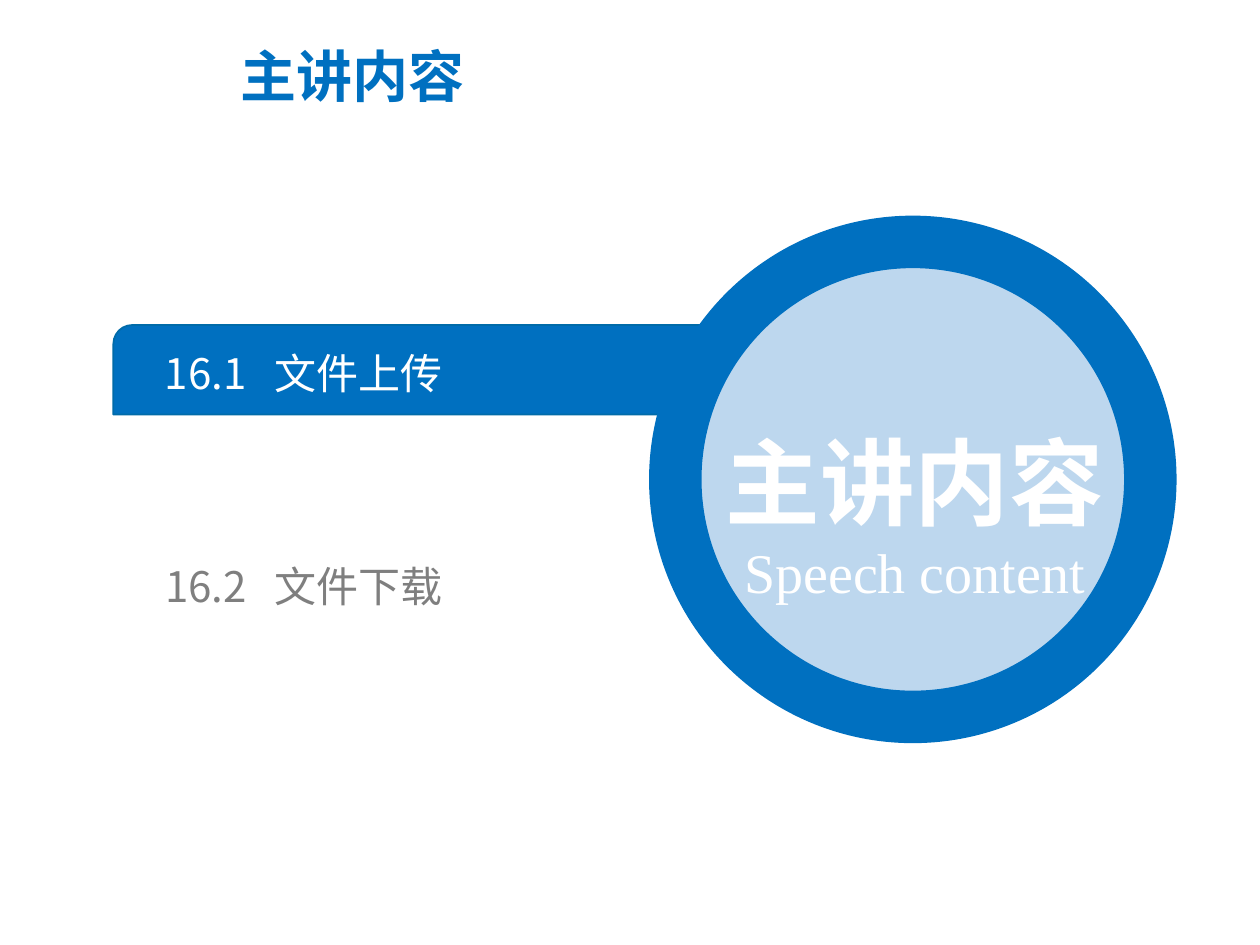
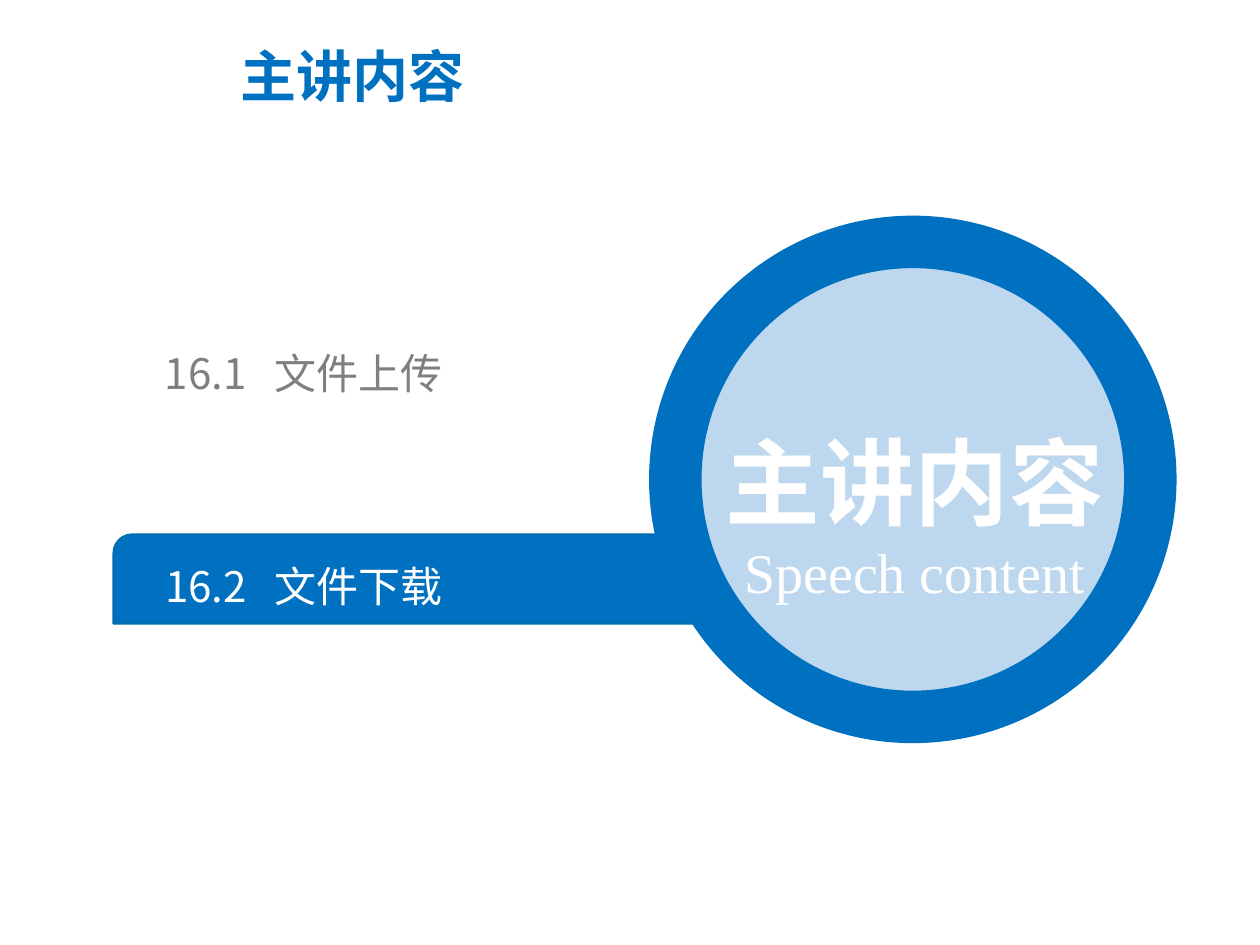
from dataclasses import dataclass

import lxml.etree
import pptx
import pptx.dml.color
import pptx.enum.shapes
import pptx.enum.text
import pptx.oxml.ns
import pptx.util

Inches = pptx.util.Inches
Anchor = pptx.enum.text.MSO_ANCHOR
Align = pptx.enum.text.PP_ALIGN
AutoSize = pptx.enum.text.MSO_AUTO_SIZE
Shape = pptx.enum.shapes.MSO_SHAPE
TITLE_ONLY = 5


@dataclass(frozen=True)
class Theme:
    blue: str = "0070C0"
    bar_edge: str = "006BA9"
    pale_blue: str = "BDD7EE"
    gray: str = "7F7F7F"
    white: str = "FFFFFF"
    chinese_font: str = "Noto Sans CJK SC"
    english_font: str = "Times New Roman"
    title_size: int = 32
    label_size: int = 24
    badge_size: int = 54
    badge_subtitle_size: int = 32
    bar_edge_width: int = 1
    ring_width: int = 30


@dataclass(frozen=True)
class Section:
    number: str
    name: str
    bar_top: float
    label_top: float
    label_width: float


THEME = Theme()
HEADING = "主讲内容"
SECTIONS = [
    Section("16.1", "文件上传", 2.58, 2.76, 4.76),
    Section("16.2", "文件下载", 4.24, 4.45, 4.15),
]


def rgb(color):
    return pptx.dml.color.RGBColor.from_string(color)


def style_paragraph(para, size, color, font, bold=False, align=Align.LEFT, spacing=1.0):
    para.alignment = align
    para.line_spacing = spacing
    for span in para.runs:
        span.font.size = pptx.util.Pt(size)
        span.font.bold = bold
        span.font.color.rgb = rgb(color)
        span.font.name = font
        properties = span._r.get_or_add_rPr()
        lxml.etree.SubElement(properties, pptx.oxml.ns.qn("a:ea"), typeface=font)


def add_title(slide):
    title = slide.shapes.title
    title.left, title.top = Inches(1.81), Inches(0.34)
    title.width, title.height = Inches(6.15), Inches(0.85)
    frame = title.text_frame
    frame.text = HEADING
    frame.auto_size = AutoSize.NONE
    frame.vertical_anchor = Anchor.TOP
    style_paragraph(frame.paragraphs[0], THEME.title_size, THEME.blue,
                    THEME.chinese_font, bold=True, spacing=0.9)


def add_filled_shape(slide, kind, left, top, width, height, fill, line, line_width):
    shape = slide.shapes.add_shape(
        kind, Inches(left), Inches(top), Inches(width), Inches(height))
    shape.shadow.inherit = False
    shape.fill.solid()
    shape.fill.fore_color.rgb = rgb(fill)
    shape.line.color.rgb = rgb(line)
    shape.line.width = pptx.util.Pt(line_width)
    return shape


def add_text_box(slide, left, top, width, height):
    """Add a wrapping, vertically centred text box and return its frame."""
    box = slide.shapes.add_textbox(
        Inches(left), Inches(top), Inches(width), Inches(height))
    frame = box.text_frame
    frame.word_wrap = True
    frame.auto_size = AutoSize.SHAPE_TO_FIT_TEXT
    frame.vertical_anchor = Anchor.MIDDLE
    return frame


def add_highlight_bar(slide, section):
    bar = add_filled_shape(
        slide, Shape.ROUND_2_DIAG_RECTANGLE, 0.9, section.bar_top, 6.26, 0.71,
        THEME.blue, THEME.bar_edge, THEME.bar_edge_width)
    bar.adjustments[0] = 0.21


def add_badge(slide):
    """Add the ringed circle with the bilingual heading."""
    add_filled_shape(slide, Shape.OVAL, 5.36, 1.92, 3.77, 3.77,
                     THEME.pale_blue, THEME.blue, THEME.ring_width)
    frame = add_text_box(slide, 5.31, 2.86, 3.9, 1.99)
    heading = frame.paragraphs[0]
    heading.text = HEADING
    style_paragraph(heading, THEME.badge_size, THEME.white, THEME.chinese_font,
                    bold=True, align=Align.CENTER, spacing=1.5)
    subtitle = frame.add_paragraph()
    subtitle.text = "Speech content"
    style_paragraph(subtitle, THEME.badge_subtitle_size, THEME.white,
                    THEME.english_font, align=Align.CENTER)


def add_tab_stop(para, position):
    qn = pptx.oxml.ns.qn
    tabs = lxml.etree.SubElement(para._p.get_or_add_pPr(), qn("a:tabLst"))
    lxml.etree.SubElement(tabs, qn("a:tab"), pos=str(Inches(position)), algn="l")


def add_section_label(slide, section, color):
    frame = add_text_box(slide, 1.31, section.label_top, section.label_width, 0.4)
    frame.margin_left = frame.margin_right = 0
    frame.margin_top = frame.margin_bottom = 0
    para = frame.paragraphs[0]
    add_tab_stop(para, 0.87)
    para.text = f"{section.number}\t{section.name}"
    style_paragraph(para, THEME.label_size, color, THEME.chinese_font)


def add_agenda_slide(deck, current):
    slide = deck.slides.add_slide(deck.slide_layouts[TITLE_ONLY])
    add_title(slide)
    add_highlight_bar(slide, current)
    add_badge(slide)
    for section in SECTIONS:
        color = THEME.white if section is current else THEME.gray
        add_section_label(slide, section, color)


def main():
    deck = pptx.Presentation()
    deck.slide_width, deck.slide_height = Inches(10), Inches(7.5)
    for section in SECTIONS:
        add_agenda_slide(deck, section)
    deck.save("out.pptx")


if __name__ == "__main__":
    main()
